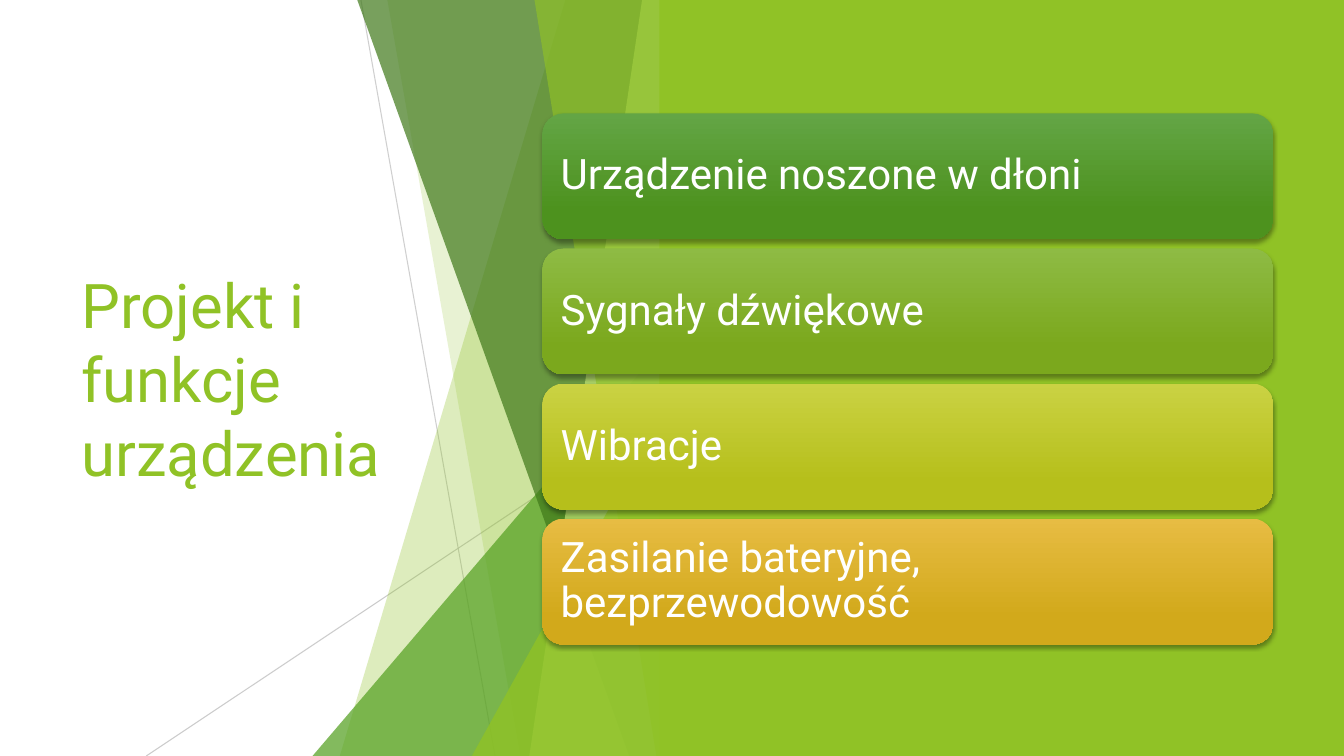
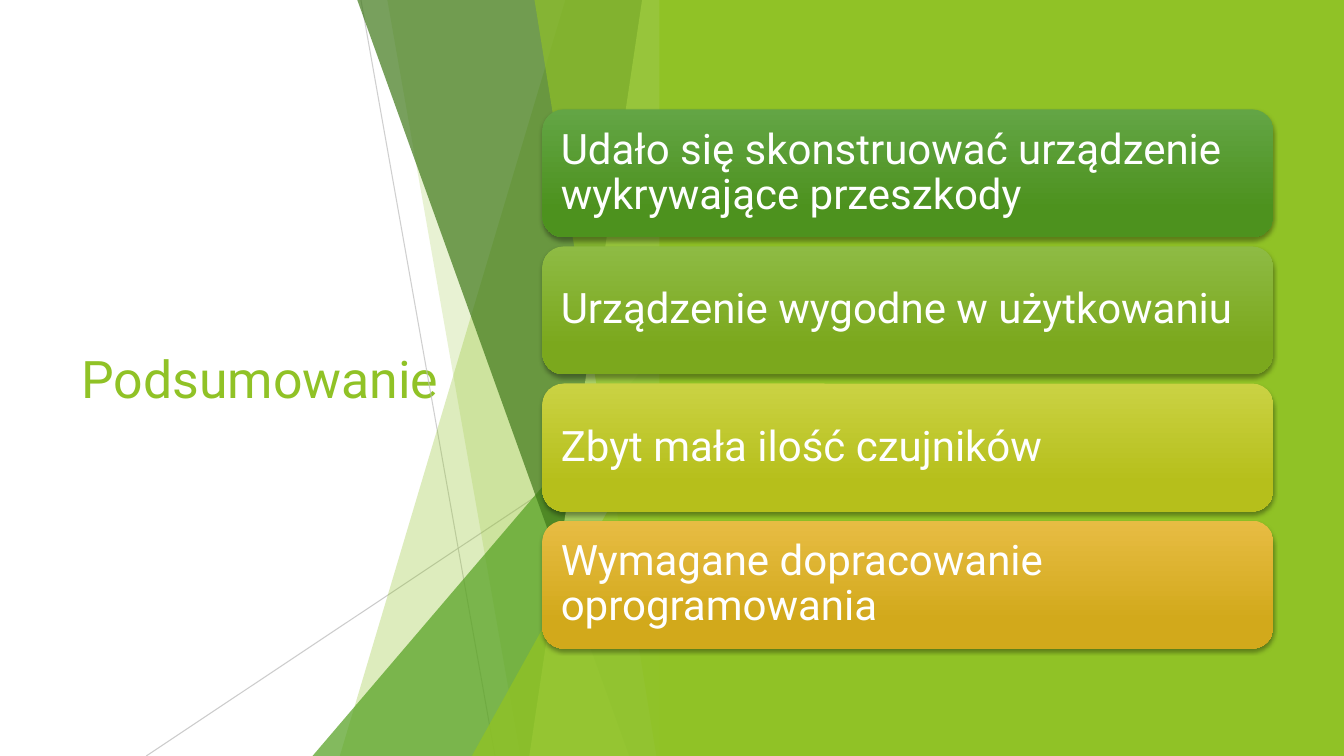
from lxml.etree import SubElement
from pptx import Presentation
from pptx.dml.color import RGBColor
from pptx.enum.shapes import MSO_CONNECTOR as Connector, MSO_SHAPE as Preset
from pptx.enum.text import MSO_ANCHOR as Anchor, PP_ALIGN as Align
from pptx.oxml.ns import qn
from pptx.util import Inches, Pt

COLORS = {
    "lime": "90C226",
    "green": "54A021",
    "forest": "3F7819",
    "pale": "C0E474",
    "grey": "BFBFBF",
    "white": "FFFFFF",
    "black": "000000",
}
CARD_GRADIENTS = [
    ("63A545", "4D921E"),
    ("8EBB44", "7BA81D"),
    ("CAD243", "B6BF1B"),
    ("E7BC43", "D2A91B"),
]
FONT = "Roboto"
SLIDE_WIDTH, SLIDE_HEIGHT = 13.33, 7.5
FACET_TOP, FACET_RIGHT = -0.01, 6.66
PANEL_LEFT = 6.54
CARD_LEFT, CARD_WIDTH, CARD_GAP = 5.38, 7.25, 0.09
CARDS_MIDDLE = 3.76
CARD_INSET = 0.12

RAYS = [
    ((3.58, 0), (4.91, SLIDE_HEIGHT), 75),
    ((FACET_RIGHT, 4.03), (1.45, SLIDE_HEIGHT), 80),
]
FACETS = [
    ("blade", 5.61, 3.37, "lime", 30),
    ("blade", 3.84, 5.16, "lime", 20),
    ("triangle", 3.1, 3.33, "green", 72),
    ("blade", 3.54, 6.24, "forest", 70),
    ("blade", 6.37, 5.25, "pale", 70),
    ("blade", 5.3, 6.51, "lime", 65),
    ("triangle", 4.68, 3.93, "lime", 80),
]
SLIDES = [
    ("Projekt i funkcje urządzenia", 44, 1.25, [
        "Urządzenie noszone w dłoni",
        "Sygnały dźwiękowe",
        "Wibracje",
        "Zasilanie bateryjne, bezprzewodowość",
    ]),
    ("Podsumowanie", 37, 1.27, [
        "Udało się skonstruować urządzenie wykrywające przeszkody",
        "Urządzenie wygodne w użytkowaniu",
        "Zbyt mała ilość czujników",
        "Wymagane dopracowanie oprogramowania",
    ]),
]


def rgb(name):
    return RGBColor.from_string(COLORS[name])


def set_opacity(shape, percent):
    color = next(shape.element.iter(qn("a:srgbClr")))
    SubElement(color, qn("a:alpha"), val=str(percent * 1000))


def paint(shape, color, opacity=100):
    shape.shadow.inherit = False
    shape.fill.solid()
    shape.fill.fore_color.rgb = rgb(color)
    shape.line.fill.background()
    if opacity < 100:
        set_opacity(shape, opacity)


def write(shape, text, size, color):
    frame = shape.text_frame
    frame.word_wrap = True
    frame.vertical_anchor = Anchor.MIDDLE
    frame.text = text
    paragraph = frame.paragraphs[0]
    paragraph.alignment = Align.LEFT
    font = paragraph.runs[0].font
    font.name = FONT
    font.size = Pt(size)
    font.color.rgb = rgb(color)
    return paragraph


def add_title(slide, text, size):
    title = slide.shapes.add_textbox(Inches(0.71), Inches(1.51), Inches(3.88), Inches(4.48))
    write(title, text, size, "lime")


def add_ray(shapes, start, end, opacity):
    ends = [Inches(value) for value in (*start, *end)]
    ray = shapes.add_connector(Connector.STRAIGHT, *ends)
    ray.line.color.rgb = rgb("grey")
    ray.line.width = Pt(0.75)
    set_opacity(ray, opacity)
    SubElement(ray.element.spPr, qn("a:effectLst"))


def add_blade(shapes, top_left, bottom_left):
    points = [
        (Inches(x), Inches(y))
        for x, y in (
            (top_left, FACET_TOP),
            (FACET_RIGHT, FACET_TOP),
            (FACET_RIGHT, SLIDE_HEIGHT),
            (bottom_left, SLIDE_HEIGHT),
        )
    ]
    builder = shapes.build_freeform(*points[0])
    builder.add_line_segments(points[1:], close=True)
    return builder.convert_to_shape()


def add_triangle(shapes, left, top):
    triangle = shapes.add_shape(
        Preset.ISOSCELES_TRIANGLE, Inches(left), Inches(top),
        Inches(FACET_RIGHT - left), Inches(SLIDE_HEIGHT - top))
    triangle.adjustments[0] = 1
    return triangle


def add_backdrop(slide):
    shapes = slide.shapes.add_group_shape().shapes
    for start, end, opacity in RAYS:
        add_ray(shapes, start, end, opacity)
    builders = {"blade": add_blade, "triangle": add_triangle}
    for kind, first, second, color, opacity in FACETS:
        paint(builders[kind](shapes, first, second), color, opacity)
    panel = slide.shapes.add_shape(
        Preset.RECTANGLE, Inches(PANEL_LEFT), 0,
        Inches(SLIDE_WIDTH - PANEL_LEFT), Inches(SLIDE_HEIGHT))
    paint(panel, "lime")


def add_shadow(shape):
    shape.shadow.inherit = False
    effects = shape.element.spPr.find(qn("a:effectLst"))
    shadow = SubElement(
        effects, qn("a:outerShdw"), blurRad=str(Pt(3)), dist=str(Pt(2)),
        dir="5400000", rotWithShape="0")
    color = SubElement(shadow, qn("a:srgbClr"), val=COLORS["black"])
    SubElement(color, qn("a:alpha"), val="35000")


def add_card(slide, text, top, height, gradient):
    card = slide.shapes.add_shape(
        Preset.ROUNDED_RECTANGLE, Inches(CARD_LEFT), Inches(top),
        Inches(CARD_WIDTH), Inches(height))
    card.line.fill.background()
    card.fill.gradient()
    card.fill.gradient_angle = 270
    for stop, color, position in zip(card.fill.gradient_stops, gradient, (0, 0.78)):
        stop.color.rgb = RGBColor.from_string(color)
        stop.position = position
    add_shadow(card)
    frame = card.text_frame
    frame.margin_left = frame.margin_right = Inches(CARD_INSET)
    frame.margin_top = frame.margin_bottom = Inches(CARD_INSET)
    write(card, text, 30, "white").line_spacing = 0.9


def add_cards(slide, texts, height):
    pitch = height + CARD_GAP
    top = CARDS_MIDDLE - (len(texts) * pitch - CARD_GAP) / 2
    for index, (text, gradient) in enumerate(zip(texts, CARD_GRADIENTS)):
        add_card(slide, text, top + index * pitch, height, gradient)


def main():
    presentation = Presentation()
    presentation.slide_width = Inches(SLIDE_WIDTH)
    presentation.slide_height = Inches(SLIDE_HEIGHT)
    for title, title_size, card_height, texts in SLIDES:
        slide = presentation.slides.add_slide(presentation.slide_layouts[6])
        add_title(slide, title, title_size)
        add_backdrop(slide)
        add_cards(slide, texts, card_height)
    presentation.save("out.pptx")


if __name__ == "__main__":
    main()
